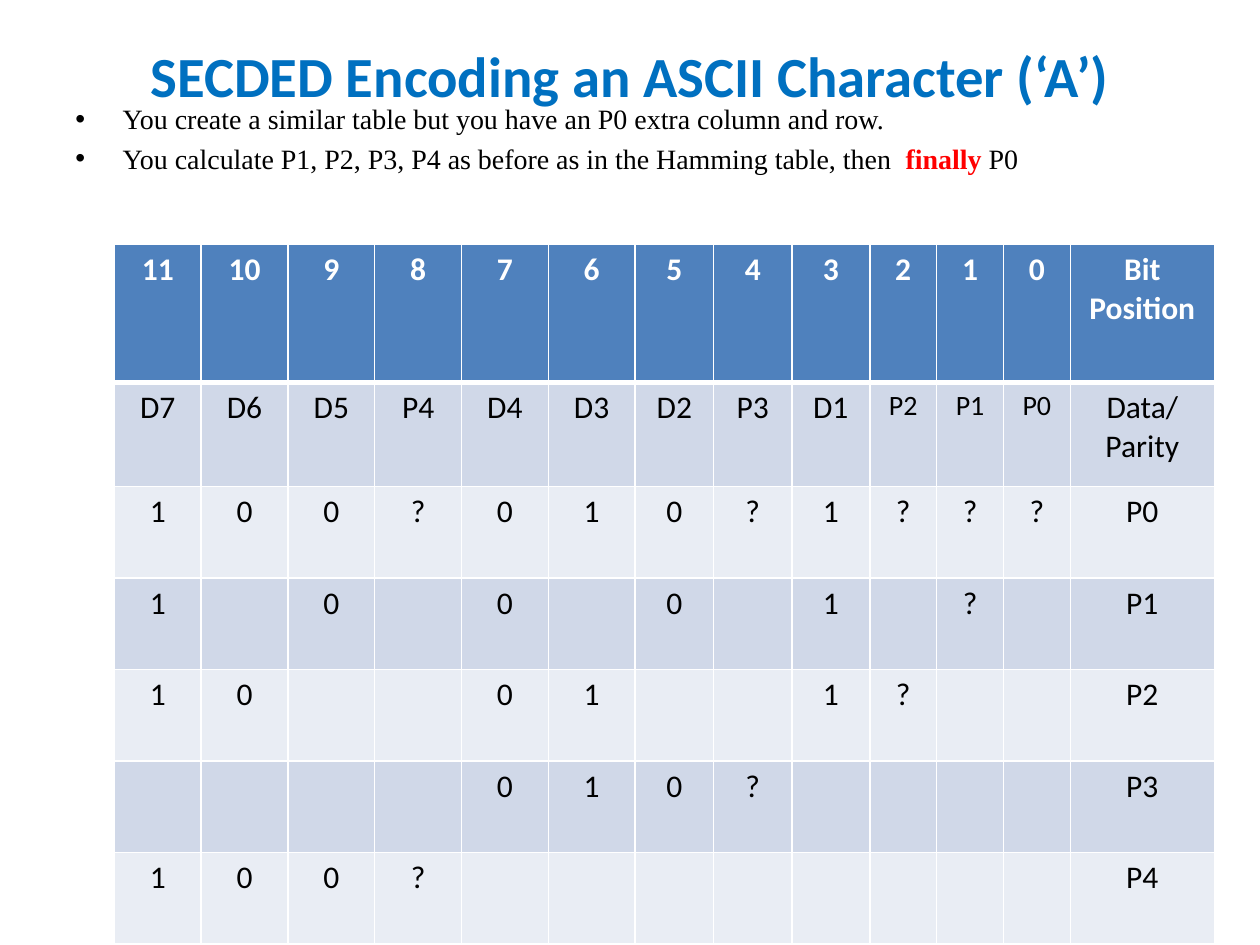
from dataclasses import dataclass

from pptx import Presentation
from pptx.dml.color import RGBColor as Rgb
from pptx.enum.text import MSO_ANCHOR as Anchor, PP_ALIGN as Align
from pptx.oxml.ns import qn
from pptx.util import Pt
from lxml.etree import SubElement, Element


@dataclass(frozen=True)
class Theme:
    """Colours, fonts and type sizes of the slide."""
    title: str = "0070C0"
    ink: str = "000000"
    accent: str = "FF0000"
    line: str = "FFFFFF"
    header: str = "4F81BD"
    bands: tuple = ("D0D8E8", "E9EDF4")
    sans: str = "Calibri"
    serif: str = "Times New Roman"
    title_size: float = 32.4
    body_size: float = 16
    table_size: float = 18
    small_size: float = 16


THEME = Theme()
DATA_BITS = {11: 1, 10: 0, 9: 0, 7: 0, 6: 1, 5: 0, 3: 1}
POSITIONS = range(11, -1, -1)
PARITY_NAMES = {0: "P0", 1: "P1", 2: "P2", 4: "P3", 8: "P4"}
BULLETS = [
    [("You create a similar table but you have an P0 extra column and row.", False)],
    [("You calculate P1, P2, P3, P4 as before as in the Hamming table, then  ", False),
     ("finally", True), (" P0", False)],
]


def style(span, font, size, color, bold=False):
    """Set the look of one run."""
    span.font.name = font
    span.font.size = Pt(size)
    span.font.color.rgb = Rgb.from_string(color)
    span.font.bold = bold


def add_text_box(page, box):
    """Add a wrapping text box and return its frame."""
    frame = page.shapes.add_textbox(*map(Pt, box)).text_frame
    frame.word_wrap = True
    return frame


def add_title(page, box):
    """Place the centred heading at the top of its box."""
    frame = add_text_box(page, box)
    frame.vertical_anchor = Anchor.TOP
    frame.margin_top = Pt(1.8)
    frame.text = "SECDED Encoding an ASCII Character (‘A’)"
    para = frame.paragraphs[0]
    para.alignment = Align.CENTER
    style(para.runs[0], THEME.sans, THEME.title_size, THEME.title, True)


def add_bullets(page, box):
    """Place the bulleted remarks."""
    frame = add_text_box(page, box)
    for index, parts in enumerate(BULLETS):
        para = frame.add_paragraph() if index else frame.paragraphs[0]
        para.space_before = Pt(3.2)
        props = para._p.get_or_add_pPr()
        props.set("marL", str(Pt(27)))
        props.set("indent", str(-Pt(27)))
        SubElement(props, qn("a:buFont"), typeface="Arial")
        SubElement(props, qn("a:buChar"), char="•")
        for text, stressed in parts:
            span = para.add_run()
            span.text = text
            color = THEME.accent if stressed else THEME.ink
            style(span, THEME.serif, THEME.body_size, color, stressed)


def bit_row(parity, name):
    """Return the bits that one parity bit covers, ending with its name."""
    covered = [p for p in POSITIONS if parity == 0 or p & parity]
    return [str(DATA_BITS.get(p, "?")) if p in covered else "" for p in POSITIONS] + [name]


def table_rows():
    """Build the header, the bit names and one row for each parity bit."""
    data_names = {p: f"D{n}" for n, p in enumerate(sorted(DATA_BITS), 1)}
    names = PARITY_NAMES | data_names
    return [
        [str(p) for p in POSITIONS] + ["Bit Position"],
        [names[p] for p in POSITIONS] + ["Data/Parity"],
        *(bit_row(parity, name) for parity, name in PARITY_NAMES.items()),
    ]


def set_borders(cell, top, bottom):
    """Draw the four borders of a cell, given the top and bottom widths."""
    props = cell._tc.get_or_add_tcPr()
    sides = {"a:lnL": 1, "a:lnR": 1, "a:lnT": top, "a:lnB": bottom}
    for index, (tag, width) in enumerate(sides.items()):
        line = Element(qn(tag), w=str(Pt(width)))
        fill = SubElement(line, qn("a:solidFill"))
        SubElement(fill, qn("a:srgbClr"), val=THEME.line)
        props.insert(index, line)


def fill_cell(cell, text, row, column):
    """Write and format one cell according to its row and column."""
    header = row == 0
    cell.fill.solid()
    cell.fill.fore_color.rgb = Rgb.from_string(
        THEME.header if header else THEME.bands[(row - 1) % 2])
    set_borders(cell, 3 if row == 1 else 1, 3 if header else 1)
    cell.text = text
    para = cell.text_frame.paragraphs[0]
    para.alignment = Align.CENTER
    small = row == 1 and 9 <= column <= 11
    size = THEME.small_size if small else THEME.table_size
    for span in para.runs:
        style(span, THEME.sans, size, THEME.line if header else THEME.ink, header)


def add_bit_table(page, box):
    """Place the table of bit positions and parity coverage."""
    rows = table_rows()
    table = page.shapes.add_table(len(rows), len(rows[0]), *map(Pt, box)).table
    widths = [49.6] * 6 + [45] + [44.6] * 2 + [38.2] * 3 + [82.4]
    heights = [78.7, 59.5] + [52.3] * len(PARITY_NAMES)
    for column, width in zip(table.columns, widths):
        column.width = Pt(width)
    for row, height in zip(table.rows, heights):
        row.height = Pt(height)
    for r, texts in enumerate(rows):
        for c, text in enumerate(texts):
            fill_cell(table.cell(r, c), text, r, c)


def main():
    """Build the slide and save the deck."""
    deck = Presentation()
    deck.slide_width, deck.slide_height = Pt(720), Pt(540)
    page = deck.slides.add_slide(deck.slide_layouts[6])
    add_title(page, (36, 21.6, 648, 90))
    add_bullets(page, (36, 54.7, 648, 427.7))
    add_bit_table(page, (65.4, 139.8, 628.8, 399.7))
    deck.save("out.pptx")


if __name__ == "__main__":
    main()
